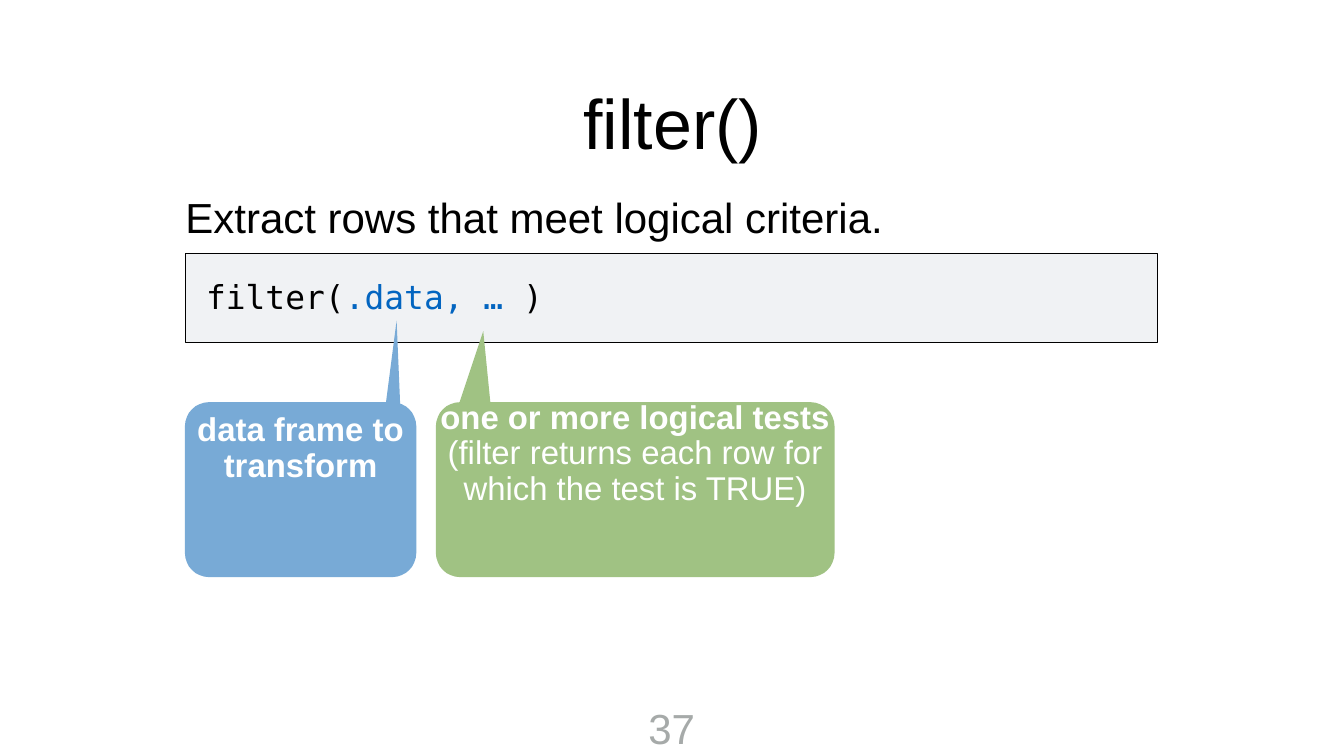
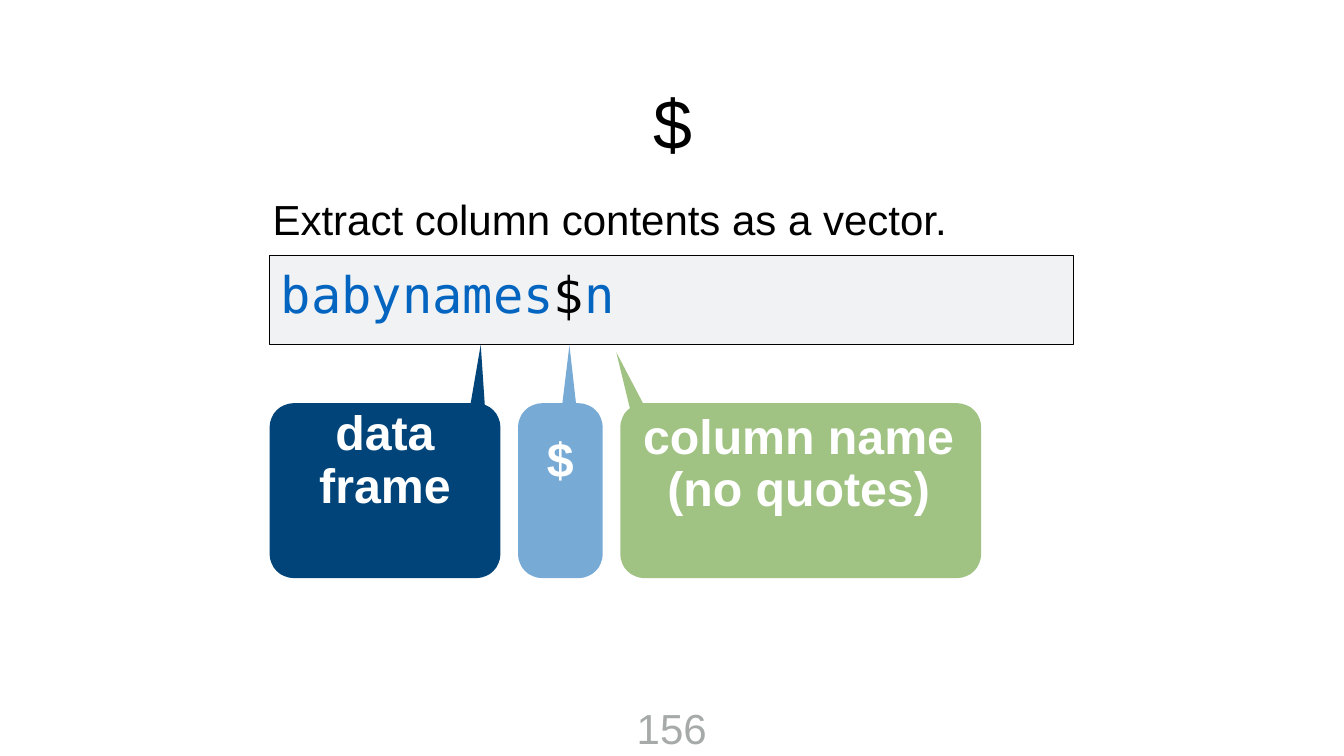
"""Two slides that explain a piece of R syntax with callouts under a code box."""
from math import cos, radians, sin

from pptx import Presentation
from pptx.dml.color import RGBColor
from pptx.enum.shapes import MSO_SHAPE
from pptx.enum.text import MSO_ANCHOR, MSO_AUTO_SIZE, PP_ALIGN
from pptx.util import Pt

PX = 9144
SLIDE_WIDTH, SLIDE_HEIGHT = 2667, 1500
COLOURS = {
    "black": "000000", "white": "FFFFFF", "grey": "A6AAA9", "panel": "F0F2F4",
    "code": "0365C0", "green": "A0C283", "blue": "78AAD6", "navy": "004479",
}
TEXT_FONT, CODE_FONT = "Arial", "DejaVu Sans Mono"
TITLE_BOX = (440, 110, 1790, 262)
CALLOUT_HEIGHT, CORNER_RADIUS, CORNER_STEPS = 347, 47, 8

SLIDES = [
    {
        "title": "filter()",
        "summary": "Extract rows that meet logical criteria.",
        "summary_box": (368, 352, 1790, 156),
        "summary_inset": 0,
        "panel_box": (368, 503, 1929, 177),
        "code": [("filter(", "black"), (".data, … ", "code"), (")", "black")],
        "code_box": (403, 543, 1724, 156),
        "code_size": 47,
        "callout_top": 798,
        "callout_size": 47,
        "callouts": [
            {"text": [("one or more logical tests ", True),
                      ("(filter returns each row for which the test is TRUE)", False)],
             "fill": "green", "left": 865, "right": 1656,
             "tip": (959, 657), "base": [(912, 798), (973, 798)]},
            {"text": [("data frame to transform", True)],
             "fill": "blue", "left": 367, "right": 826,
             "tip": (787, 636), "base": [(766, 798), (794, 801)]},
        ],
        "number": "37",
        "number_width": 110,
    },
    {
        "title": "$",
        "summary": "Extract column contents as a vector.",
        "summary_box": (535, 355, 1583, 156),
        "summary_inset": 6,
        "panel_box": (535, 506, 1596, 177),
        "code": [("babynames", "code"), ("$", "black"), ("n", "code")],
        "code_box": (551, 516, 1508, 156),
        "code_size": 72,
        "callout_top": 800,
        "callout_size": 69,
        "callouts": [
            {"text": [("column name (no quotes)", True)],
             "fill": "green", "left": 1231, "right": 1947,
             "tip": (1223, 699), "base": [(1250, 810), (1276, 800)]},
            {"text": [("data frame", True)],
             "fill": "navy", "left": 535, "right": 993,
             "tip": (954, 684), "base": [(934, 800), (962, 803)]},
            {"text": [("$", True)],
             "fill": "blue", "left": 1028, "right": 1196,
             "tip": (1130, 685), "base": [(1116, 800), (1143, 800)]},
        ],
        "number": "156",
        "number_width": 156,
    },
]


def colour(name):
    return RGBColor.from_string(COLOURS[name])


def emu(box):
    return [length * PX for length in box]


def write(shape, runs, size, inset, font=TEXT_FONT, anchor=MSO_ANCHOR.MIDDLE,
          align=PP_ALIGN.LEFT, spacing=None):
    frame = shape.text_frame
    frame.word_wrap = True
    frame.vertical_anchor = anchor
    frame.margin_left = frame.margin_right = inset * PX
    frame.margin_top = frame.margin_bottom = inset * PX
    paragraph = frame.paragraphs[0]
    paragraph.alignment = align
    paragraph.line_spacing = spacing
    paragraph.font.name = font
    paragraph.font.size = Pt(size)
    for text, ink, bold in runs:
        run = paragraph.add_run()
        run.text = text
        run.font.color.rgb = colour(ink)
        run.font.bold = bold
    return frame


def add_text(slide, box, runs, size, inset, **style):
    return write(slide.shapes.add_textbox(*emu(box)), runs, size, inset, **style)


def add_panel(slide, box):
    panel = slide.shapes.add_shape(MSO_SHAPE.RECTANGLE, *emu(box))
    panel.shadow.inherit = False
    panel.fill.solid()
    panel.fill.fore_color.rgb = colour("panel")
    panel.line.color.rgb = colour("black")
    panel.line.width = Pt(1)


def rounded_outline(left, top, right, bottom):
    near_x, far_x = left + CORNER_RADIUS, right - CORNER_RADIUS
    near_y, far_y = top + CORNER_RADIUS, bottom - CORNER_RADIUS
    corners = [(near_x, near_y, 180), (far_x, near_y, 270),
               (far_x, far_y, 0), (near_x, far_y, 90)]
    points = []
    for x, y, start in corners:
        for step in range(CORNER_STEPS + 1):
            angle = radians(start + 90 * step / CORNER_STEPS)
            points.append((round(x + CORNER_RADIUS * cos(angle)),
                           round(y + CORNER_RADIUS * sin(angle))))
    return points


def add_callout(slide, callout, top, size):
    outline = rounded_outline(callout["left"], top, callout["right"], top + CALLOUT_HEIGHT)
    base_left, base_right = callout["base"]
    before = next(i for i, (x, _) in enumerate(outline) if x > base_left[0])
    after = next(i for i, (x, _) in enumerate(outline) if x >= base_right[0])
    points = [base_right, *outline[after:], *outline[:before], base_left]
    builder = slide.shapes.build_freeform(*callout["tip"], scale=PX)
    builder.add_line_segments(points, close=True)
    bubble = builder.convert_to_shape()
    bubble.shadow.inherit = False
    bubble.fill.solid()
    bubble.fill.fore_color.rgb = colour(callout["fill"])
    bubble.line.fill.background()
    runs = [(text, "white", bold) for text, bold in callout["text"]]
    write(bubble, runs, size, 8, align=PP_ALIGN.CENTER, spacing=0.9)


def add_number(slide, number, width):
    box = ((SLIDE_WIDTH - width) // 2, 1385, width, 116)
    frame = add_text(slide, box, [(number, "grey", False)], 60, 8,
                     anchor=MSO_ANCHOR.TOP, align=PP_ALIGN.CENTER)
    frame.word_wrap = False
    frame.auto_size = MSO_AUTO_SIZE.SHAPE_TO_FIT_TEXT


def build_slide(deck, content):
    slide = deck.slides.add_slide(deck.slide_layouts[6])
    add_text(slide, TITLE_BOX, [(content["title"], "black", False)], 100, 6,
             align=PP_ALIGN.CENTER)
    add_text(slide, content["summary_box"], [(content["summary"], "black", False)], 60,
             content["summary_inset"])
    add_panel(slide, content["panel_box"])
    code = [(text, ink, False) for text, ink in content["code"]]
    add_text(slide, content["code_box"], code, content["code_size"], 6,
             font=CODE_FONT, anchor=MSO_ANCHOR.TOP)
    for callout in content["callouts"]:
        add_callout(slide, callout, content["callout_top"], content["callout_size"])
    add_number(slide, content["number"], content["number_width"])


def main():
    deck = Presentation()
    deck.slide_width, deck.slide_height = emu((SLIDE_WIDTH, SLIDE_HEIGHT))
    for content in SLIDES:
        build_slide(deck, content)
    deck.save("out.pptx")


if __name__ == "__main__":
    main()
